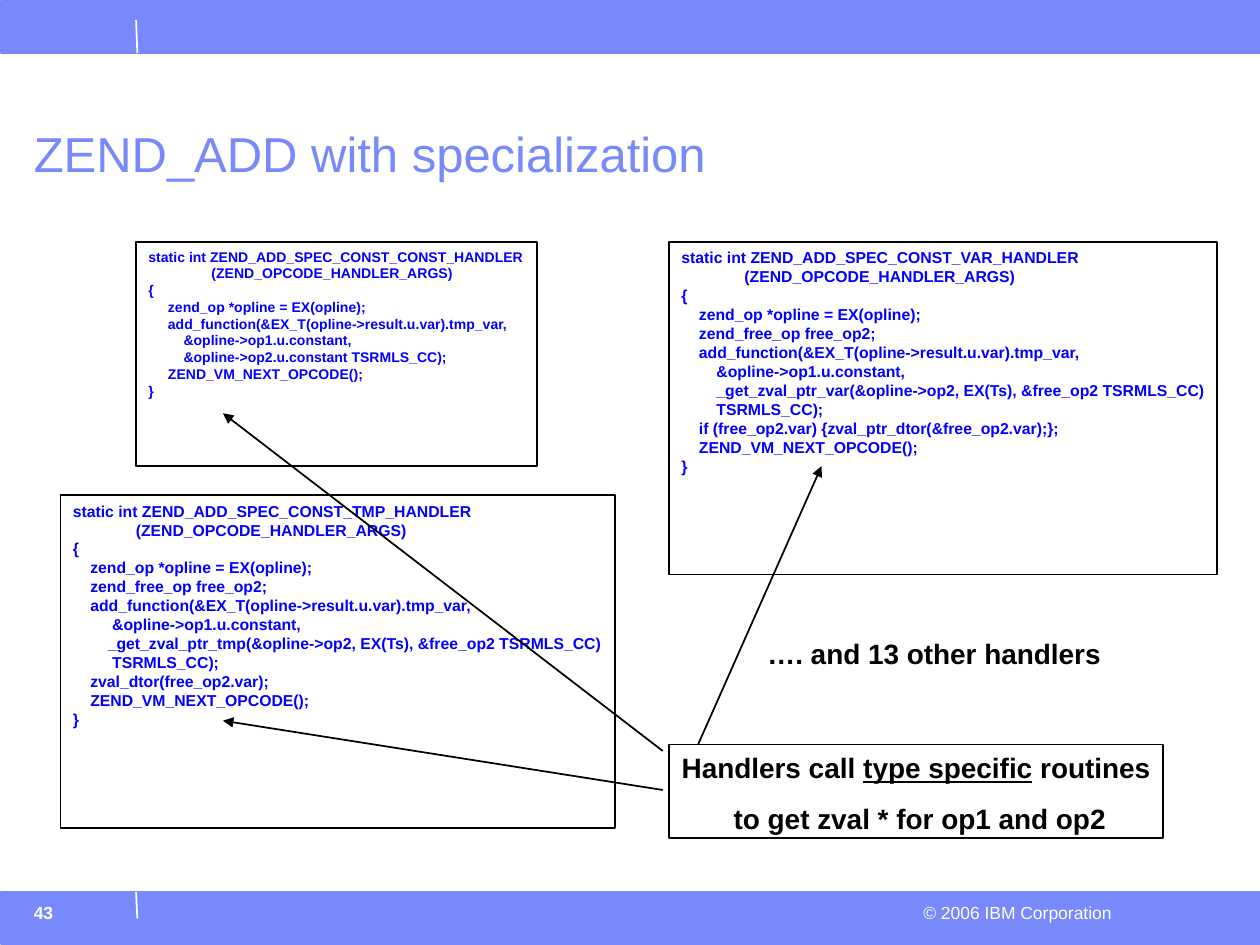
from dataclasses import dataclass

import pptx
import pptx.dml.color
import pptx.enum.shapes
import pptx.enum.text
import pptx.oxml
import pptx.oxml.ns
import pptx.util
from pptx.util import Inches

ALIGN = pptx.enum.text.PP_ALIGN
ANCHOR = pptx.enum.text.MSO_ANCHOR
RECTANGLE = pptx.enum.shapes.MSO_SHAPE.RECTANGLE
STRAIGHT = pptx.enum.shapes.MSO_CONNECTOR.STRAIGHT


@dataclass(frozen=True)
class Theme:
    font = "Arial"
    band = pptx.dml.color.RGBColor.from_string("7889FB")
    code = pptx.dml.color.RGBColor.from_string("0000FF")
    ink = pptx.dml.color.RGBColor.from_string("000000")
    paper = pptx.dml.color.RGBColor.from_string("FFFFFF")
    title_size = 28
    note_size = 16
    footer_size = 10
    line_width = pptx.util.Pt(1)


theme = Theme()


def write(shape, lines, size, color, bold=False, align=ALIGN.LEFT, wrap=False, gap=0):
    """Fill a shape with lines, each a list of (text, underlined) runs."""
    frame = shape.text_frame
    frame.word_wrap = wrap
    frame.vertical_anchor = ANCHOR.TOP
    for index, line in enumerate(lines):
        paragraph = frame.paragraphs[0] if index == 0 else frame.add_paragraph()
        paragraph.alignment = align
        if index and gap:
            paragraph.space_before = pptx.util.Pt(gap)
        for text, underlined in line:
            run = paragraph.add_run()
            run.text = text
            run.font.name = theme.font
            run.font.size = pptx.util.Pt(size)
            run.font.bold = bold
            run.font.color.rgb = color
            if underlined:
                run.font.underline = True


def connect(start, end, color, arrow=False):
    line = slide.shapes.add_connector(STRAIGHT, *map(Inches, start + end))
    line.line.color.rgb = color
    line.line.width = theme.line_width
    if arrow:
        tail = pptx.oxml.parse_xml(
            f'<a:tailEnd {pptx.oxml.ns.nsdecls("a")} type="triangle"/>')
        line.line._get_or_add_ln().append(tail)
    effects = pptx.oxml.parse_xml(f'<a:effectLst {pptx.oxml.ns.nsdecls("a")}/>')
    line._element.spPr.append(effects)


deck = pptx.Presentation()
deck.slide_width, deck.slide_height = Inches(10), Inches(7.5)
slide = deck.slides.add_slide(deck.slide_layouts[6])

# Header and footer bands, each with a small divider
for band_top, divider_top, divider_bottom in [(0.01, 0.16, 0.42), (7.08, 7.08, 7.29)]:
    band = slide.shapes.add_shape(
        RECTANGLE, Inches(0.01), Inches(band_top), Inches(9.99), Inches(0.41))
    band.shadow.inherit = False
    band.fill.solid()
    band.fill.fore_color.rgb = theme.band
    band.line.color.rgb = theme.band
    band.line.width = theme.line_width
    connect((1.08, divider_top), (1.09, divider_bottom), theme.paper)

copyright_line = slide.shapes.add_textbox(
    Inches(7.22), Inches(7.11), Inches(1.7), Inches(0.26))
write(copyright_line, [[("© 2006 IBM Corporation", False)]],
      theme.footer_size, theme.paper, align=ALIGN.RIGHT)

page_number = slide.shapes.add_textbox(
    Inches(0.17), Inches(7.11), Inches(1.1), Inches(0.35))
write(page_number, [[("43", False)]], theme.footer_size, theme.paper, bold=True, wrap=True)

title = slide.shapes.add_textbox(Inches(0.17), Inches(0.82), Inches(9.02), Inches(0.68))
write(title, [[("ZEND_ADD with specialization", False)]],
      theme.title_size, theme.band, wrap=True)
title.text_frame.vertical_anchor = ANCHOR.BOTTOM
title.text_frame.paragraphs[0].line_spacing = 0.9

# Boxes: left, top, width, height, type size, operand kind, handler body
handlers = [
    (1.08, 1.92, 3.18, 1.78, 8, "CONST", """\
     zend_op *opline = EX(opline);
     add_function(&EX_T(opline->result.u.var).tmp_var,
         &opline->op1.u.constant,
         &opline->op2.u.constant TSRMLS_CC);
     ZEND_VM_NEXT_OPCODE();"""),
    (0.48, 3.93, 4.4, 2.64, 9, "TMP", """\
    zend_op *opline = EX(opline);
    zend_free_op free_op2;
    add_function(&EX_T(opline->result.u.var).tmp_var,
         &opline->op1.u.constant,
        _get_zval_ptr_tmp(&opline->op2, EX(Ts), &free_op2 TSRMLS_CC)
         TSRMLS_CC);
    zval_dtor(free_op2.var);
    ZEND_VM_NEXT_OPCODE();"""),
    (5.31, 1.92, 4.35, 2.64, 9, "VAR", """\
    zend_op *opline = EX(opline);
    zend_free_op free_op2;
    add_function(&EX_T(opline->result.u.var).tmp_var,
        &opline->op1.u.constant,
        _get_zval_ptr_var(&opline->op2, EX(Ts), &free_op2 TSRMLS_CC)
        TSRMLS_CC);
    if (free_op2.var) {zval_ptr_dtor(&free_op2.var);};
    ZEND_VM_NEXT_OPCODE();"""),
]
framed = []
for left, top, width, height, size, kind, body in handlers:
    code = [f"static int ZEND_ADD_SPEC_CONST_{kind}_HANDLER",
            "\t(ZEND_OPCODE_HANDLER_ARGS)", "{", *body.split("\n"), "}"]
    handler = slide.shapes.add_shape(
        RECTANGLE, Inches(left), Inches(top), Inches(width), Inches(height))
    write(handler, [[(line, False)] for line in code], size, theme.code, bold=True)
    framed.append(handler)

others = slide.shapes.add_textbox(Inches(5.99), Inches(5), Inches(2.91), Inches(0.35))
write(others, [[("…. and 13 other handlers ", False)]],
      theme.note_size, theme.ink, bold=True, align=ALIGN.CENTER)

callout = slide.shapes.add_shape(
    RECTANGLE, Inches(5.31), Inches(5.91), Inches(3.92), Inches(0.74))
write(callout,
      [[("Handlers call ", False), ("type specific", True), (" routines", False)],
       [(" to get zval * for op1 and op2", False)]],
      theme.note_size, theme.ink, bold=True, align=ALIGN.CENTER, gap=10)
framed.append(callout)

for box in framed:
    box.shadow.inherit = False
    box.fill.background()
    box.line.color.rgb = theme.ink
    box.line.width = theme.line_width

# Arrows from the callout to the handlers; the third is only an arrowhead
for start, end in [((5.26, 6.27), (1.77, 5.72)),
                   ((5.26, 5.96), (1.77, 3.28)),
                   ((5.26, 5.91), (5.26, 5.91)),
                   ((5.54, 5.91), (6.52, 3.7))]:
    connect(start, end, theme.ink, arrow=True)

deck.save("out.pptx")
